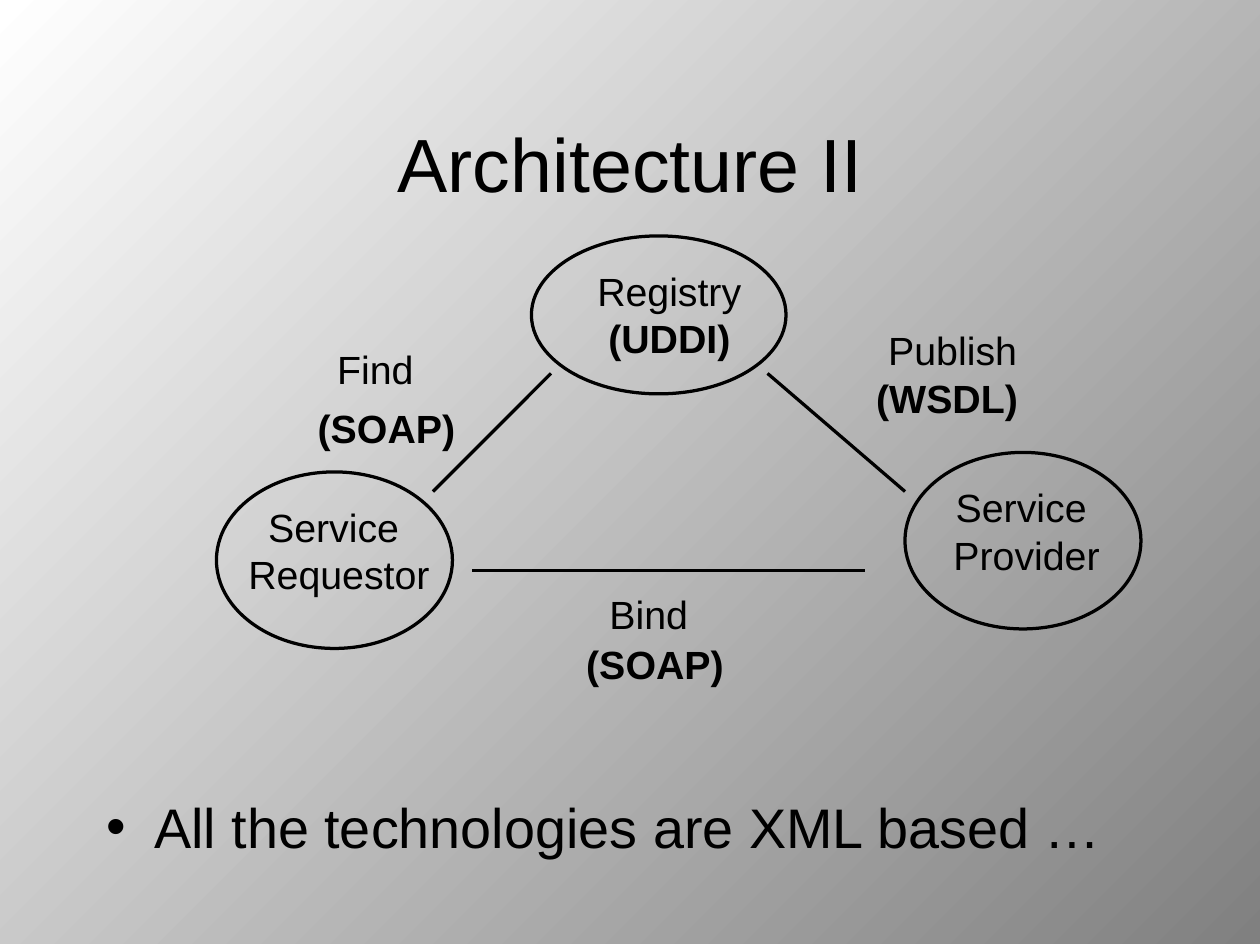
from typing import NamedTuple

from lxml.etree import SubElement
from pptx import Presentation
from pptx.dml.color import RGBColor
from pptx.enum.shapes import MSO_CONNECTOR, MSO_SHAPE
from pptx.enum.text import MSO_ANCHOR, MSO_AUTO_SIZE, PP_ALIGN
from pptx.oxml.ns import qn
from pptx.util import Cm, Pt

BLACK = RGBColor(0x00, 0x00, 0x00)
WHITE = RGBColor(0xFF, 0xFF, 0xFF)
GREY = RGBColor(0x80, 0x80, 0x80)
FONT = "Arial"


class Node(NamedTuple):
    left: float
    top: float
    width: float
    height: float
    text_left: float
    text_width: float
    lines: tuple[str, str]
    bold: bool = False


class Link(NamedTuple):
    x1: float
    y1: float
    x2: float
    y2: float


class Label(NamedTuple):
    left: float
    top: float
    width: float
    text: str
    bold: bool = False


NODES = [
    Node(5.72, 2.54, 2.74, 1.7, 6.15, 2.11, ("Registry", "(UDDI)"), True),
    Node(2.33, 5.08, 2.54, 1.9, 2.42, 2.46, ("Service ", "Requestor")),
    Node(9.74, 4.87, 2.54, 1.9, 10.01, 2.08, ("Service ", "Provider")),
]
LINKS = [
    Link(5.93, 4.02, 4.66, 5.29),
    Link(8.26, 4.02, 9.74, 5.29),
    Link(5.08, 6.14, 9.31, 6.14),
]
LABELS = [
    Label(3.38, 3.59, 1.4, "Find"),
    Label(9.31, 3.39, 1.96, "Publish"),
    Label(6.31, 6.23, 1.42, "Bind"),
    Label(3.17, 4.23, 2.06, "(SOAP)", True),
    Label(6.06, 6.77, 2.06, "(SOAP)", True),
    Label(9.18, 3.9, 2.1, "(WSDL)", True),
]


def style(para, size: float, bold: bool = False) -> None:
    for run in para.runs:
        run.font.name = FONT
        run.font.size = Pt(size)
        run.font.bold = bold
        run.font.color.rgb = BLACK


def fill_holder(holder, top: float, height: float, text: str, size: float, anchor):
    holder.left, holder.top = Cm(1.02), Cm(top)
    holder.width, holder.height = Cm(11.53), Cm(height)
    frame = holder.text_frame
    frame.text = text
    frame.auto_size = MSO_AUTO_SIZE.NONE
    frame.vertical_anchor = anchor
    frame.margin_left = frame.margin_right = Cm(0.13)
    frame.margin_top = frame.margin_bottom = Cm(0.07)
    para = frame.paragraphs[0]
    style(para, size)
    return para


def add_text(shapes, left: float, top: float, width: float, height: float, text: str):
    box = shapes.add_textbox(Cm(left), Cm(top), Cm(width), Cm(height))
    frame = box.text_frame
    frame.text = text
    frame.word_wrap = False
    frame.auto_size = MSO_AUTO_SIZE.SHAPE_TO_FIT_TEXT
    return frame.paragraphs


def draw_node(shapes, node: Node) -> None:
    group = shapes.add_group_shape().shapes
    oval = group.add_shape(
        MSO_SHAPE.OVAL, Cm(node.left), Cm(node.top), Cm(node.width), Cm(node.height)
    )
    oval.shadow.inherit = False
    oval.fill.background()
    oval.line.color.rgb = BLACK
    oval.line.width = Pt(1)
    text = "\n".join(node.lines)
    head, tail = add_text(
        group, node.text_left, node.top + 0.21, node.text_width, 1.27, text
    )
    head.alignment = tail.alignment = PP_ALIGN.CENTER
    style(head, 12)
    style(tail, 12, node.bold)


def draw_link(shapes, link: Link) -> None:
    line = shapes.add_connector(MSO_CONNECTOR.STRAIGHT, *map(Cm, link))
    line.line.color.rgb = BLACK
    line.line.width = Pt(1)
    SubElement(line._element.spPr, qn("a:effectLst"))


def draw_label(shapes, label: Label) -> None:
    paras = add_text(shapes, label.left, label.top, label.width, 0.76, label.text)
    style(paras[0], 12, label.bold)


def main() -> None:
    deck = Presentation()
    deck.slide_width, deck.slide_height = Cm(13.56), Cm(10.16)
    slide = deck.slides.add_slide(deck.slide_layouts[1])

    back = slide.background.fill
    back.gradient()
    back.gradient_angle = 315
    for stop, color in zip(back.gradient_stops, (WHITE, GREY)):
        stop.color.rgb = color

    title, body = slide.placeholders
    para = fill_holder(title, 0.9, 1.7, "Architecture II", 23, MSO_ANCHOR.MIDDLE)
    para.alignment = PP_ALIGN.CENTER
    text = "All the technologies are XML based …"
    para = fill_holder(body, 8.46, 1.14, text, 17, MSO_ANCHOR.TOP)
    para.space_before = Pt(4.2)
    props = para._p.get_or_add_pPr()
    props.set("marL", str(Cm(0.51)))
    props.set("indent", str(Cm(-0.51)))
    SubElement(props, qn("a:buChar"), char="•")

    for node in NODES:
        draw_node(slide.shapes, node)
    for link in LINKS:
        draw_link(slide.shapes, link)
    for label in LABELS:
        draw_label(slide.shapes, label)

    deck.save("out.pptx")


if __name__ == "__main__":
    main()
